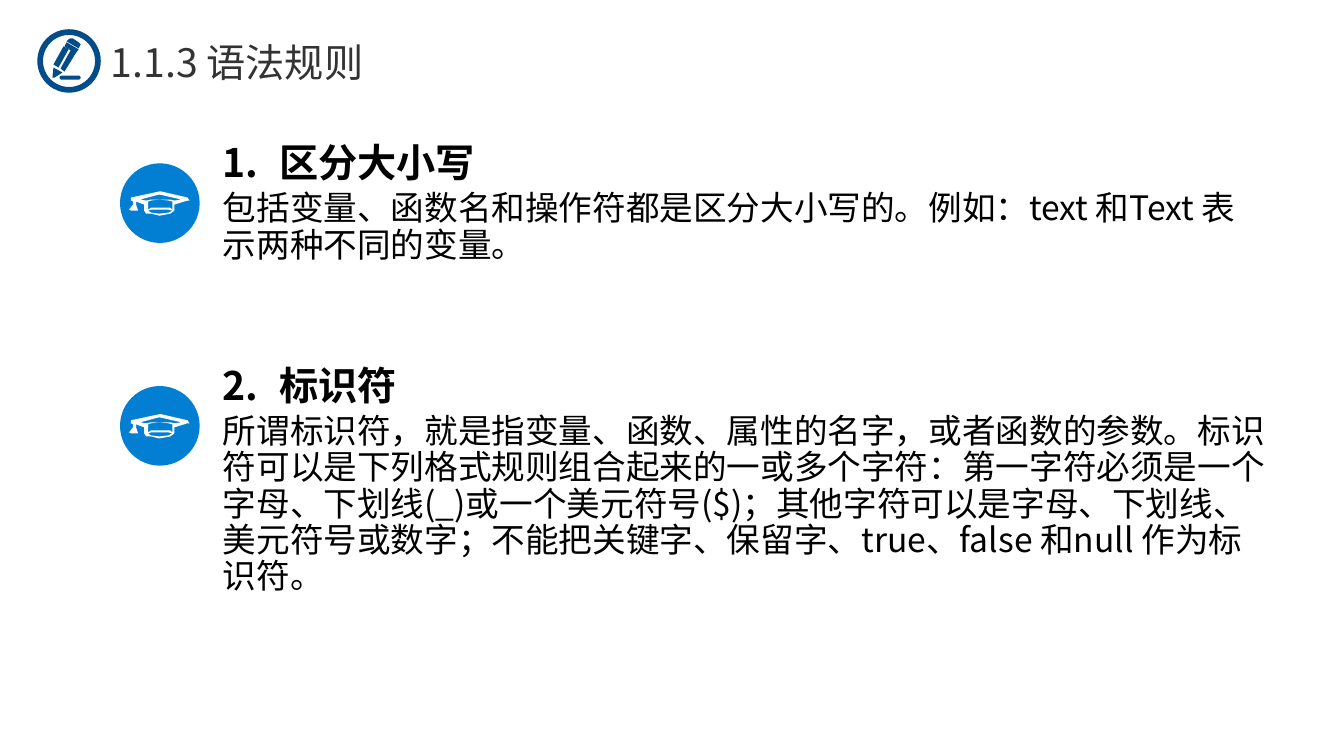
"""Build the slide on syntax rules: a title and two numbered points with icons."""
from lxml.etree import SubElement
from pptx import Presentation
from pptx.dml.color import RGBColor
from pptx.enum.shapes import MSO_SHAPE
from pptx.oxml.ns import qn
from pptx.util import Inches, Pt

FONT = "Noto Sans CJK SC"
NAVY, BLUE, WHITE = "024C89", "027ED2", "FFFFFF"
UNIT = Inches(0.01)


def paint(shape, color):
    """Give a shape a plain fill with no line or shadow."""
    shape.shadow.inherit = False
    shape.fill.solid()
    shape.fill.fore_color.rgb = RGBColor.from_string(color)
    shape.line.fill.background()


def trace(shapes, loops, left, top, color):
    """Draw closed loops, given in hundredths of an inch, as one shape."""
    pen = shapes.build_freeform(*loops[0][0], scale=UNIT)
    for i, loop in enumerate(loops):
        if i:
            pen.move_to(*loop[0])
        pen.add_line_segments(loop[1:], close=True)
    paint(pen.convert_to_shape(Inches(left), Inches(top)), color)


deck = Presentation()
deck.slide_width, deck.slide_height = Inches(13.33), Inches(7.5)
slide = deck.slides.add_slide(deck.slide_layouts[6])

title = slide.shapes.add_textbox(Inches(0.97), Inches(0.31), Inches(2.83), Inches(0.61))
frame = title.text_frame
frame.word_wrap = True
frame.margin_left = frame.margin_right = Inches(0.13)
frame.margin_top = frame.margin_bottom = Inches(0.07)
line = frame.paragraphs[0]
line.text = "1.1.3 语法规则"
line.font.size, line.font.name = Pt(28), FONT
line.font.color.rgb = RGBColor.from_string("333333")

badge = slide.shapes.add_group_shape().shapes
ring = badge.add_shape(MSO_SHAPE.DONUT, Inches(0.37), Inches(0.29), Inches(0.63), Inches(0.63))
ring.adjustments[0] = 0.09
paint(ring, NAVY)
dash = badge.add_shape(MSO_SHAPE.ROUNDED_RECTANGLE, Inches(0.59), Inches(0.75), Inches(0.21), Inches(0.04))
dash.adjustments[0] = 0.5
paint(dash, NAVY)
pencil = [
    [(60, 68), (70, 50), (75, 53), (64, 71)],
    [(53, 64), (63, 46), (68, 49), (58, 67)],
    [(52, 77), (53, 67), (62, 72), (54, 77)],
    [(66, 42), (78, 49), (75, 53), (64, 46)],
    [(68, 39), (70, 37.5), (72, 38), (78, 42), (79.5, 44), (79, 46), (78, 48), (66, 41)],
]
trace(badge, pencil, 0, 0, NAVY)

cap = [
    [(4, 10), (4, 13), (0, 18), (2, 19), (9, 19), (7, 13), (7, 10), (15, 13),
     (15, 19), (17, 21.5), (22, 22.5), (30, 24), (41, 22.5), (45, 19),
     (45, 13), (58, 9), (60, 9), (58, 6), (32, 0), (30, 0), (2, 6), (2, 9)],
    [(17, 9), (11, 8), (30, 3), (52, 8), (45, 9), (41, 8), (30, 7.5), (22, 8)],
    [(43, 18), (41, 16.5), (30, 16), (22, 16.5), (19, 18), (19, 10), (22, 9),
     (30, 8.5), (39, 9), (43, 10)],
    [(39, 18), (43, 19), (39, 21), (30, 22), (22, 21), (19, 19), (22, 18), (30, 17.5)],
]
points = [
    ("区分大小写", "包括变量、函数名和操作符都是区分大小写的。例如：text 和Text 表示两种不同的变量。", 1.5),
    ("标识符", "所谓标识符，就是指变量、函数、属性的名字，或者函数的参数。标识符可以是下列格式规则"
     "组合起来的一或多个字符：第一字符必须是一个字母、下划线(_)或一个美元符号($)；其他字符"
     "可以是字母、下划线、美元符号或数字；不能把关键字、保留字、true、false 和null 作为标识符。", 3.68),
]
for row, (head, body, height) in enumerate(points):
    top = 1.43 + 2.21 * row
    group = slide.shapes.add_group_shape().shapes
    box = group.add_textbox(Inches(2.21), Inches(top), Inches(10.35), Inches(height))
    frame = box.text_frame
    frame.word_wrap = True
    frame.margin_left = frame.margin_right = frame.margin_top = frame.margin_bottom = 0
    for text, size in (head, 28), (body, 24):
        first = text == head
        line = frame.paragraphs[0] if first else frame.add_paragraph()
        line.text = text
        line.line_spacing, line.space_before = 0.9, Pt(3.8)
        if first:
            props = line._p.get_or_add_pPr()
            props.set("marL", str(Inches(0.56)))
            props.set("indent", str(-Inches(0.56)))
            SubElement(props, qn("a:buAutoNum"), type="arabicPeriod", startAt=str(row + 1))
        line.font.size, line.font.name, line.font.bold = Pt(size), FONT, first
        line.font.color.rgb = RGBColor.from_string("000000")
    disc = group.add_shape(MSO_SHAPE.OVAL, Inches(1.19), Inches(top + 0.19), Inches(0.79), Inches(0.79))
    paint(disc, BLUE)
    trace(group, cap, 1.28, top + 0.47, WHITE)

deck.save("out.pptx")
